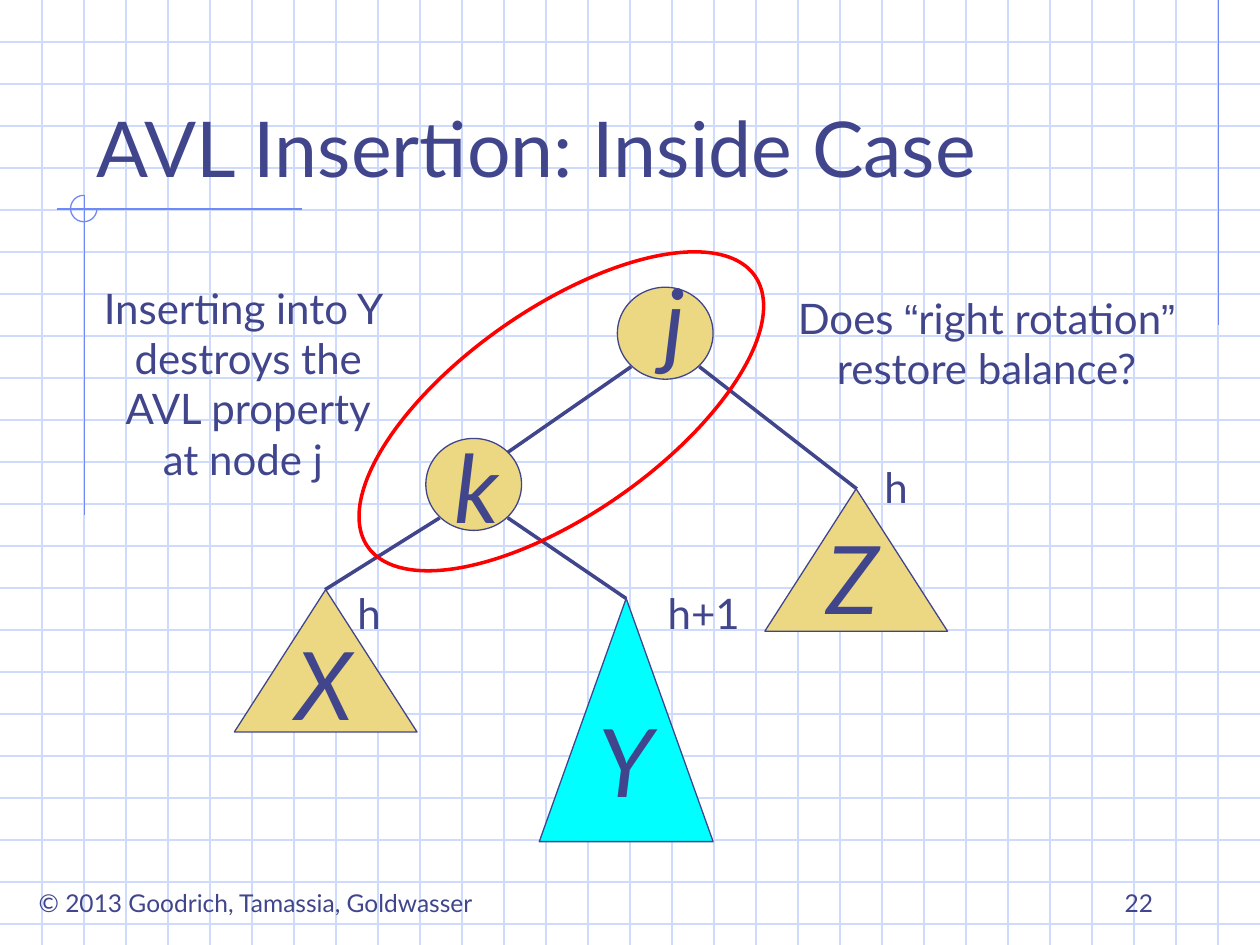
import pptx
import pptx.util
import pptx.dml.color
import pptx.enum.shapes
import pptx.enum.text
import pptx.oxml.ns
import lxml.etree

Inches = pptx.util.Inches
Pt = pptx.util.Pt
color = pptx.dml.color.RGBColor.from_string
kinds = pptx.enum.shapes.MSO_SHAPE
align = pptx.enum.text.PP_ALIGN
anchor = pptx.enum.text.MSO_ANCHOR

INK, GRID, RULE = "40458C", "CFDBFD", "6F89F7"
SAND, CYAN, RED = "ECD882", "00FFFF", "FF0000"

deck = pptx.Presentation()
deck.slide_width, deck.slide_height = Inches(10), Inches(7.5)
slide = deck.slides.add_slide(deck.slide_layouts[6])
shapes = slide.shapes


def line(x1, y1, x2, y2, tint, width=0.75):
    link = shapes.add_connector(
        pptx.enum.shapes.MSO_CONNECTOR.STRAIGHT,
        Inches(x1), Inches(y1), Inches(x2), Inches(y2))
    link.line.color.rgb = color(tint)
    link.line.width = Pt(width)
    lxml.etree.SubElement(link._element.spPr, pptx.oxml.ns.qn("a:effectLst"))


def text(box, rows, size, side=align.CENTER, hold=anchor.TOP,
         slant=False, wrap=True):
    """Add a text box; a row is a string, with curly quotes set in Arial."""
    frame = shapes.add_textbox(*map(Inches, box)).text_frame
    frame.word_wrap = wrap
    frame.vertical_anchor = hold
    for i, row in enumerate(rows):
        para = frame.add_paragraph() if i else frame.paragraphs[0]
        para.alignment = side
        para.font.name, para.font.size = "Lato", Pt(size)
        para.font.italic = slant
        para.font.color.rgb = color(INK)
        for part in row.replace("“", "|“|").replace("”", "|”|").split("|"):
            if part:
                run = para.add_run()
                run.text = part
                if part in "“”":
                    run.font.name = "Arial"


# Grid paper: three squares to the inch
for n in range(1, 23):
    line(0, n / 3, 10, n / 3, GRID)
for n in range(1, 30):
    line(n / 3, 0, n / 3, 7.5, GRID)

# Margin rules and the small arc where they cross
line(9.67, 0, 9.67, 2.58, RULE)
line(2.4, 1.66, 0.45, 1.66, RULE)
line(0.67, 1.55, 0.67, 4.09, RULE)
arc = shapes.add_shape(kinds.ARC, Inches(0.56), Inches(1.55),
                       Inches(0.21), Inches(0.21))
arc.adjustments[0], arc.adjustments[1] = 0, 162  # 0 to 270 degrees
arc.shadow.inherit = False
arc.fill.background()
arc.line.color.rgb = color(RULE)
arc.line.width = Pt(0.75)

text((0.09, 7, 3.88, 0.34), ["© 2013 Goodrich, Tamassia, Goldwasser"], 14)
text((0.67, 0.33, 8.5, 1.25), ["AVL Insertion: Inside Case"], 44,
     align.LEFT, anchor.BOTTOM)
text((7.17, 6.83, 2.08, 0.5), ["22"], 14, align.RIGHT, anchor.BOTTOM)
text((0.63, 2.19, 2.68, 1.7),
     ["Inserting into Y ", "destroys the", "AVL property", "at node j "], 24)
text((6.13, 2.27, 3.4, 0.9), ["Does “right rotation”", "restore balance?"], 24)

# Tree edges
for edge in [
    (5.01, 2.91, 4.03, 3.59),
    (5.55, 2.91, 6.8, 3.88),
    (3.49, 4.11, 2.58, 4.68),
    (4.03, 4.11, 4.97, 4.75),
]:
    line(*edge, INK, 2)

# Nodes and subtrees, each with the top left of its letter
for name, kind, box, fill, left, top in [
    ("j", kinds.OVAL, (4.9, 2.28, 0.76, 0.73), SAND, 5.12, 2.04),
    ("k", kinds.OVAL, (3.38, 3.48, 0.76, 0.73), SAND, 3.51, 3.36),
    ("X", kinds.ISOSCELES_TRIANGLE, (1.86, 4.68, 1.45, 1.13), SAND, 2.25, 4.92),
    ("Y", kinds.ISOSCELES_TRIANGLE, (4.28, 4.75, 1.38, 1.93), CYAN, 4.65, 5.53),
    ("Z", kinds.ISOSCELES_TRIANGLE, (6.07, 3.88, 1.45, 1.13), SAND, 6.46, 4.08),
]:
    node = shapes.add_shape(kind, *map(Inches, box))
    node.shadow.inherit = False
    node.fill.solid()
    node.fill.fore_color.rgb = color(fill)
    node.line.color.rgb = color(INK)
    node.line.width = Pt(0.75)
    text((left, top, 0.46, 1), [name], 54, slant=True)

# Ring around the unbalanced pair
ring = shapes.add_shape(kinds.OVAL, Inches(2.58), Inches(2.45),
                        Inches(3.75), Inches(1.63))
ring.rotation = 325
ring.shadow.inherit = False
ring.fill.background()
ring.line.color.rgb = color(RED)
ring.line.width = Pt(2)

# Subtree heights
for label, left, top, width in [
    ("h", 6.92, 3.61, 0.36),
    ("h+1", 5.19, 4.61, 0.79),
    ("h", 2.73, 4.61, 0.4),
]:
    text((left, top, width, 0.5), [label], 24, wrap=False)

deck.save("out.pptx")
